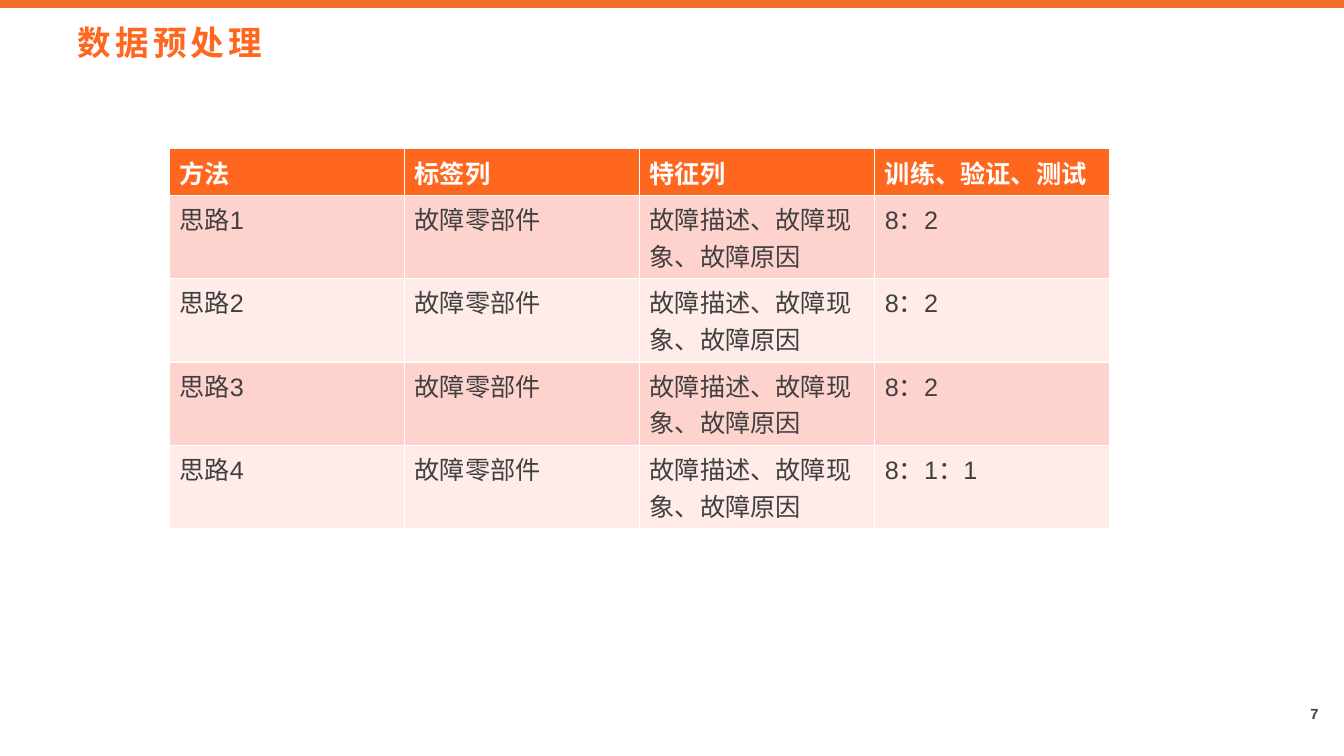
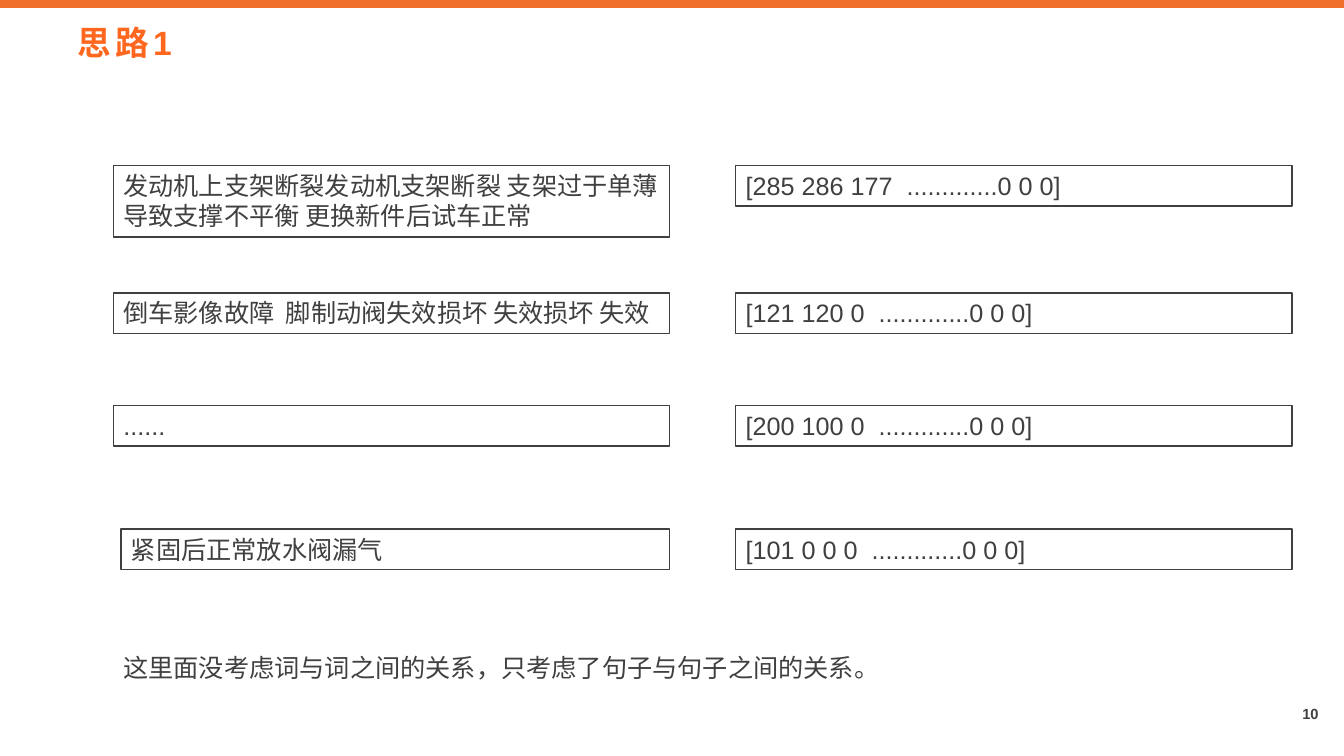
"""Build two slides on data preprocessing and the first modelling approach."""
from pptx import Presentation
from pptx import util as u
from pptx.dml.color import RGBColor
from pptx.enum import shapes, text

COLORS = {
    "bar": "EF6F2A",
    "accent": "FF671F",
    "ink": "404040",
    "white": "FFFFFF",
    "band_dark": "FFD3CD",
    "band_light": "FFEBE8",
}


def color(name):
    return RGBColor.from_string(COLORS[name])


def write(frame, content, size=18, ink="ink", bold=False, align=text.PP_ALIGN.LEFT,
          line_spacing=None, tracking=0):
    paragraph = frame.paragraphs[0]
    paragraph.alignment = align
    paragraph.line_spacing = line_spacing
    run = paragraph.add_run()
    run.text = content
    run.font.name = "Arial"
    run.font.size = u.Pt(size)
    run.font.bold = bold
    run.font.color.rgb = color(ink)
    if tracking:
        run._r.get_or_add_rPr().set("spc", str(tracking * 100))


presentation = Presentation()
presentation.slide_width = u.Cm(33.87)
presentation.slide_height = u.Cm(19.05)

slides = []
for heading, number in [("数据预处理", "7"), ("思路1", "10")]:
    slide = presentation.slides.add_slide(presentation.slide_layouts[5])
    slides.append(slide)

    bar = slide.shapes.add_shape(shapes.MSO_SHAPE.RECTANGLE, 0, 0,
                                 presentation.slide_width, u.Cm(0.2))
    bar.shadow.inherit = False
    bar.fill.solid()
    bar.fill.fore_color.rgb = color("bar")
    bar.line.fill.background()

    title = slide.shapes.title
    title.left, title.top = u.Cm(1.7), u.Cm(0.43)
    title.width, title.height = u.Cm(28.85), u.Cm(1.27)
    title.text_frame.auto_size = text.MSO_AUTO_SIZE.NONE
    title.text_frame.vertical_anchor = text.MSO_ANCHOR.MIDDLE
    write(title.text_frame, heading, size=24, ink="accent", bold=True, tracking=3)

    page = slide.shapes.add_textbox(u.Cm(25.83), u.Cm(17.47), u.Cm(7.9), u.Cm(0.89))
    frame = page.text_frame
    frame.word_wrap = True
    frame.vertical_anchor = text.MSO_ANCHOR.MIDDLE
    frame.margin_left = frame.margin_top = frame.margin_bottom = 0
    frame.margin_right = u.Cm(0.5)
    write(frame, number, size=10.5, bold=True, align=text.PP_ALIGN.RIGHT,
          line_spacing=u.Pt(16))

table_slide, vector_slide = slides

rows = [("方法", "标签列", "特征列", "训练、验证、测试")]
for index, split in enumerate(["8：2", "8：2", "8：2", "8：1：1"], start=1):
    rows.append((f"思路{index}", "故障零部件", "故障描述、故障现象、故障原因", split))

header_height, body_height = 1.17, 2.1
table_height = header_height + body_height * (len(rows) - 1)
table = table_slide.shapes.add_table(len(rows), len(rows[0]), u.Cm(4.27), u.Cm(3.75),
                                     u.Cm(23.7), u.Cm(table_height)).table
for row_index, row in enumerate(rows):
    is_header = row_index == 0
    table.rows[row_index].height = u.Cm(header_height if is_header else body_height)
    band = "accent" if is_header else "band_dark" if row_index % 2 else "band_light"
    for column_index, content in enumerate(row):
        cell = table.cell(row_index, column_index)
        cell.fill.solid()
        cell.fill.fore_color.rgb = color(band)
        write(cell.text_frame, content, ink="white" if is_header else "ink",
              bold=is_header)

left_edge, left_end, right_edge, box_width = 2.86, 16.88, 18.54, 14.02
line_height, double_height = 1.02, 1.8
examples = [
    (4.17, left_edge, double_height,
     "发动机上支架断裂发动机支架断裂 支架过于单薄 导致支撑不平衡 更换新件后试车正常",
     "[285 286 177  .............0 0 0]"),
    (7.38, left_edge, line_height, "倒车影像故障  脚制动阀失效损坏 失效损坏 失效",
     "[121 120 0  .............0 0 0]"),
    (10.22, left_edge, line_height, "......", "[200 100 0  .............0 0 0]"),
    (13.33, 3.05, line_height, "紧固后正常放水阀漏气", "[101 0 0 0  .............0 0 0]"),
]
for top, left, height, sentence, vector in examples:
    for box_left, width, box_height, content in [
        (left, left_end - left, height, sentence),
        (right_edge, box_width, line_height, vector),
    ]:
        box = vector_slide.shapes.add_textbox(u.Cm(box_left), u.Cm(top),
                                              u.Cm(width), u.Cm(box_height))
        box.line.color.rgb = color("ink")
        box.line.width = u.Pt(1)
        box.text_frame.word_wrap = True
        box.text_frame.auto_size = text.MSO_AUTO_SIZE.SHAPE_TO_FIT_TEXT
        write(box.text_frame, content)

note = vector_slide.shapes.add_textbox(u.Cm(left_edge), u.Cm(15.93), u.Cm(19.56), u.Cm(1.4))
note.text_frame.word_wrap = False
write(note.text_frame, "这里面没考虑词与词之间的关系，只考虑了句子与句子之间的关系。",
      line_spacing=1.5)

presentation.save("out.pptx")
